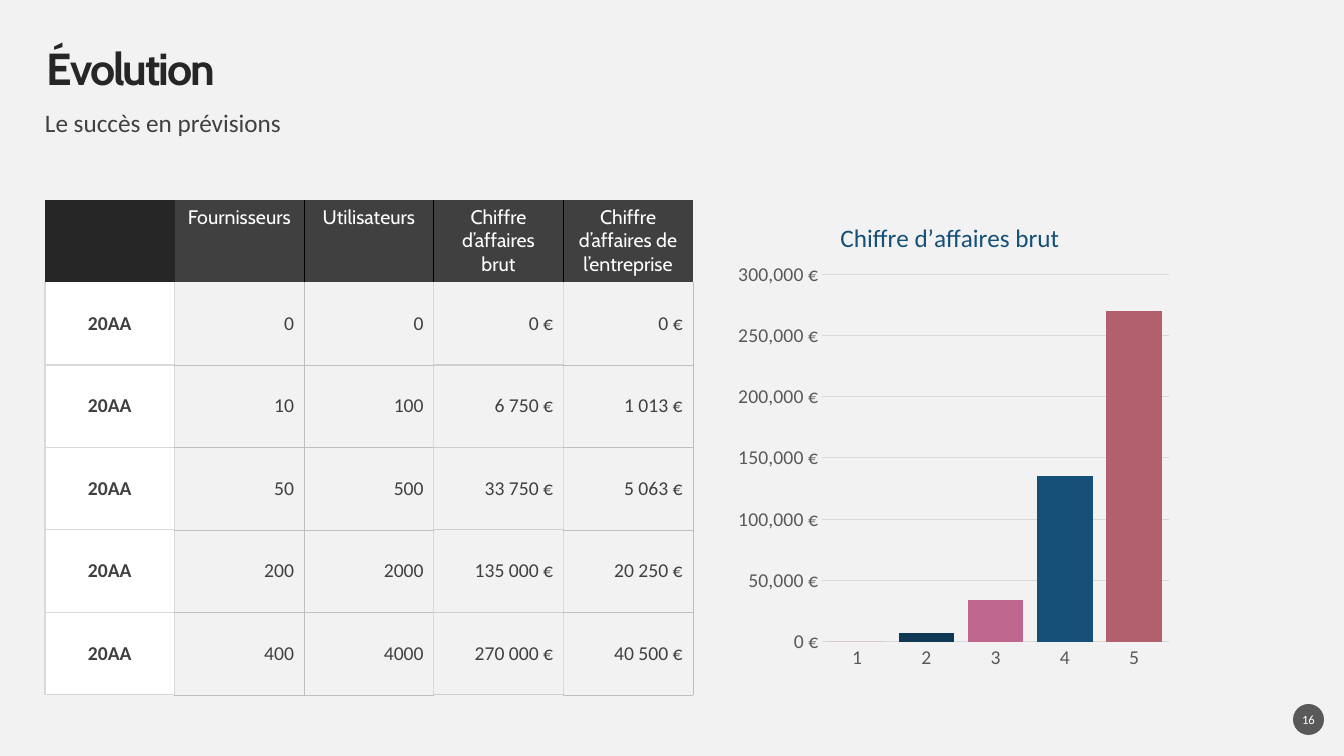
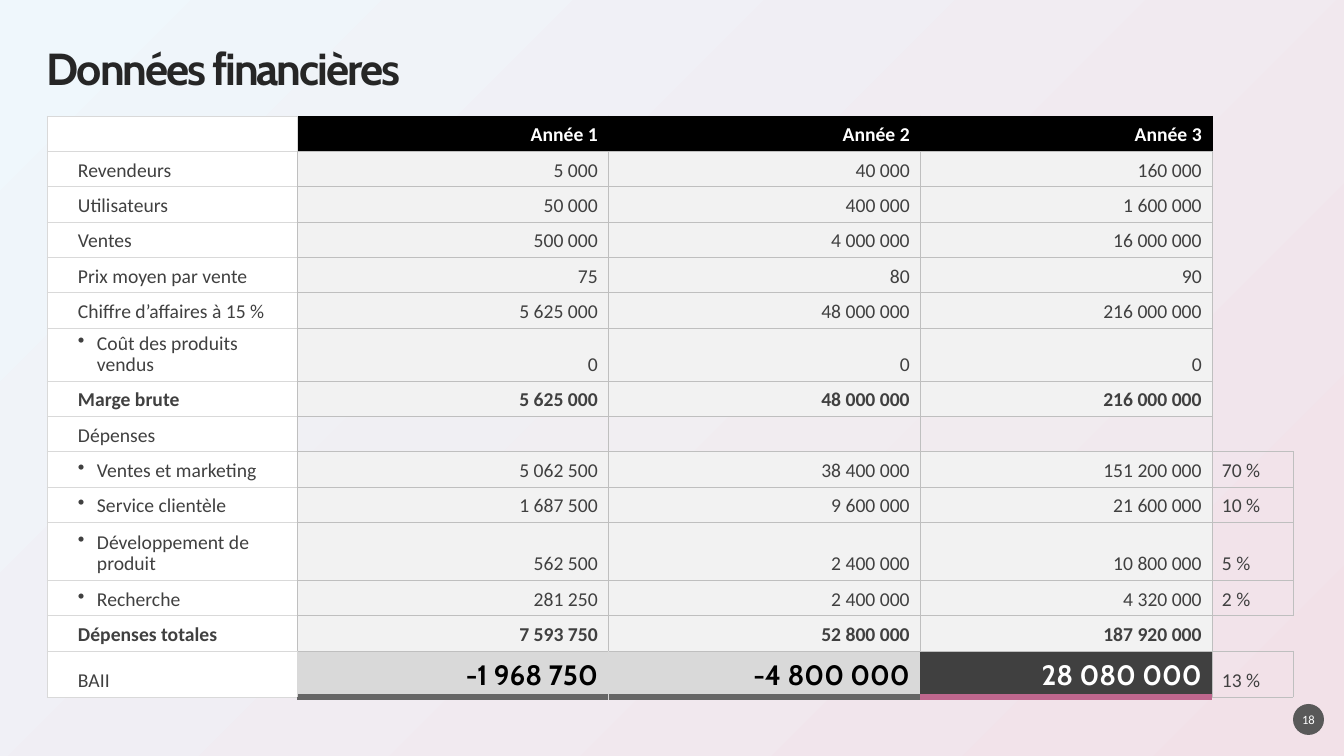
from pptx import Presentation
from pptx.chart.data import CategoryChartData as ChartData
from pptx.dml.color import RGBColor
from pptx.enum.chart import XL_CHART_TYPE as ChartType, XL_TICK_MARK as Tick
from pptx.enum.shapes import MSO_SHAPE as Shape
from pptx.enum.text import MSO_ANCHOR as Anchor, MSO_AUTO_SIZE as Fit, PP_ALIGN as Align
from pptx.oxml import parse_xml
from pptx.oxml.ns import nsdecls, qn
from pptx.util import Emu, Pt

PX = 914400 / 100.8
NBSP = chr(160)
HEAD, BODY = "Cabin", "Calibri"
NO_STYLE = "{2D5ABB26-0587-4C30-8999-92F81FD0307C}"

BLACK = RGBColor(0x00, 0x00, 0x00)
WHITE = RGBColor(0xFF, 0xFF, 0xFF)
INK = RGBColor(0x26, 0x26, 0x26)
DARK = RGBColor(0x40, 0x40, 0x40)
SLATE = RGBColor(0x59, 0x59, 0x59)
STEEL = RGBColor(0x66, 0x66, 0x66)
GREY = RGBColor(0xBF, 0xBF, 0xBF)
WARM = RGBColor(0xD0, 0xCE, 0xCE)
PALE = RGBColor(0xD9, 0xD9, 0xD9)
LIGHT = RGBColor(0xF2, 0xF2, 0xF2)
ICE = RGBColor(0xEF, 0xF7, 0xFC)
BLUSH = RGBColor(0xF2, 0xE1, 0xE8)
PINK = RGBColor(0xBF, 0x67, 0x8E)
NAVY = RGBColor(0x0F, 0x39, 0x55)
BLUE = RGBColor(0x15, 0x50, 0x78)
ROSE = RGBColor(0xB2, 0x60, 0x6E)

# Growth slide
GROWTH_HEAD = ["", "Fournisseurs", "Utilisateurs", "Chiffre d’affaires brut",
               "Chiffre d’affaires de l’entreprise"]
GROWTH = [
    ("20AA", 0, 0, 0, 0),
    ("20AA", 10, 100, 6750, 1013),
    ("20AA", 50, 500, 33750, 5063),
    ("20AA", 200, 2000, 135000, 20250),
    ("20AA", 400, 4000, 270000, 40500),
]
GROSS = [0, 7000, 34000, 135000, 270000]
BARS = [PINK, NAVY, PINK, BLUE, ROSE]

# Finance slide: label, kind of row, values by year, share
FINANCE = [
    ("Revendeurs", "", (5000, 40000, 160000), ""),
    ("Utilisateurs", "", (50000, 400000, 1600000), ""),
    ("Ventes", "", (500000, 4000000, 16000000), ""),
    ("Prix moyen par vente", "", (75, 80, 90), ""),
    ("Chiffre d’affaires à 15 %", "", (5625000, 48000000, 216000000), ""),
    ("Coût des produits vendus", "item", (0, 0, 0), ""),
    ("Marge brute", "sum", (5625000, 48000000, 216000000), ""),
    ("Dépenses", "group", ("", "", ""), ""),
    ("Ventes et marketing", "item", (5062500, 38400000, 151200000), "70 %"),
    ("Service clientèle", "item", (1687500, 9600000, 21600000), "10 %"),
    ("Développement de produit", "item", (562500, 2400000, 10800000), "5 %"),
    ("Recherche", "item", (281250, 2400000, 4320000), "2 %"),
    ("Dépenses totales", "sum", (7593750, 52800000, 187920000), ""),
    ("BAII", "result", (-1968750, -4800000, 28080000), "13 %"),
]
FINANCE_COLS = [250, 311, 312, 292, 81]
TALL = {6: 53, 11: 58, 14: 46}


def px(*sizes):
    return [Emu(round(size * PX)) for size in sizes]


def group(number):
    """Digits in groups of three; text passes unchanged."""
    return number if isinstance(number, str) else f"{number:,}".replace(",", NBSP)


def write(holder, text, size=14, font=BODY, color=DARK, bold=False, align=Align.LEFT,
          anchor=Anchor.TOP, inset=None, left=None, line=None, track=None, bullet=False):
    """Fill a text frame or a table cell with one formatted paragraph."""
    frame = getattr(holder, "text_frame", holder)
    holder.vertical_anchor = anchor
    if inset is not None:
        holder.margin_left = holder.margin_right = inset
        holder.margin_top = holder.margin_bottom = inset
    if left is not None:
        holder.margin_left = px(left)[0]
    para = frame.paragraphs[0]
    para.alignment = align
    if line:
        para.line_spacing = line
    if bullet:
        props = para._p.get_or_add_pPr()
        indent = px(19)[0]
        props.set("marL", str(indent))
        props.set("indent", str(-indent))
        props.append(parse_xml(f'<a:buChar {nsdecls("a")} char="•"/>'))
    if not text:
        para._p.get_or_add_endParaRPr().set("sz", str(size * 100))
        return
    run = para.add_run()
    run.text = text.replace(" %", NBSP + "%").replace(" €", NBSP + "€")
    run.font.size, run.font.name, run.font.bold = Pt(size), font, bold
    run.font.color.rgb = color
    if track:
        run._r.get_or_add_rPr().set("spc", str(track))


def paint(cell, color, alpha=None):
    if color is None:
        cell.fill.background()
        return
    cell.fill.solid()
    cell.fill.fore_color.rgb = color
    if alpha:
        tint = cell._tc.tcPr.find(qn("a:solidFill"))[0]
        tint.append(parse_xml(f'<a:alpha {nsdecls("a")} val="{alpha * 1000}"/>'))


def edge(cell, left, right, top, bottom):
    """Draw the given (colour, points) lines; None leaves a side open."""
    place = 0
    for side, line in zip("LRTB", (left, right, top, bottom)):
        if line:
            color, width = line
            cell._tc.get_or_add_tcPr().insert(place, parse_xml(
                f'<a:ln{side} {nsdecls("a")} w="{Pt(width)}"><a:solidFill>'
                f'<a:srgbClr val="{color}"/></a:solidFill></a:ln{side}>'))
            place += 1


def add_grid(slide, left, top, cols, rows):
    box = px(left, top, sum(cols), sum(rows))
    table = slide.shapes.add_table(len(rows), len(cols), *box).table
    props = table._tbl.tblPr
    props.find(qn("a:tableStyleId")).text = NO_STYLE
    table.first_row = table.horz_banding = False
    for col, width in zip(table.columns, px(*cols)):
        col.width = width
    for row, height in zip(table.rows, px(*rows)):
        row.height = height
    return table


def add_base(deck, title, number):
    slide = deck.slides.add_slide(deck.slide_layouts[5])
    head = slide.shapes.title
    head.left, head.top, head.width, head.height = px(47, 47, 1249, 47)
    head.text_frame.auto_size = Fit.NONE
    write(head.text_frame, title, size=32, font=HEAD, color=INK, bold=True,
          anchor=Anchor.MIDDLE, inset=0, line=0.9, track=-150)
    badge = slide.shapes.add_shape(Shape.OVAL, *px(1293, 704, 31, 31))
    badge.shadow.inherit = False
    badge.fill.solid()
    badge.fill.fore_color.rgb = SLATE
    badge.line.fill.background()
    write(badge.text_frame, str(number), size=9, color=WHITE, align=Align.CENTER,
          anchor=Anchor.MIDDLE, inset=0)
    return slide


def pin(part, place, **ratios):
    """Set a manual layout, in parts of the chart's size."""
    old = part.find(qn("c:layout"))
    if old is not None:
        part.remove(old)
    target = '<c:layoutTarget val="inner"/>' if "w" in ratios else ""
    modes = "".join(f'<c:{key}Mode val="edge"/>' for key in "xy")
    sizes = "".join(f'<c:{key} val="{val}"/>' for key, val in ratios.items())
    part.insert(place, parse_xml(f'<c:layout {nsdecls("c")}><c:manualLayout>{target}'
                                 f'{modes}{sizes}</c:manualLayout></c:layout>'))


def style(font, size, color):
    font.size, font.name, font.bold = Pt(size), BODY, False
    font.color.rgb = color


def add_bars(slide):
    data = ChartData()
    data.categories = [str(n + 1) for n in range(len(GROSS))]
    data.add_series("Chiffre d’affaires brut", GROSS)
    chart = slide.shapes.add_chart(ChartType.COLUMN_CLUSTERED, *px(728, 191, 450, 490),
                                   data).chart
    style(chart.font, 14, SLATE)
    chart.has_legend = False
    chart.has_title = True
    title = chart.chart_title.text_frame
    title.text = "Chiffre d’affaires brut"
    style(title.paragraphs[0].runs[0].font, 18, BLUE)
    space = chart._chartSpace
    pin(space.xpath("c:chart/c:title")[0], 1, x=0.24, y=0.05)
    pin(space.xpath("c:chart/c:plotArea")[0], 0, x=0.21, y=0.17, w=0.77, h=0.75)

    plot = chart.plots[0]
    plot.gap_width, plot.vary_by_categories = 25, False
    for at, color in enumerate(BARS):
        fill = plot.series[0].points[at].format.fill
        fill.solid()
        fill.fore_color.rgb = color

    cats, vals = chart.category_axis, chart.value_axis
    for axis in (cats, vals):
        axis.major_tick_mark = axis.minor_tick_mark = Tick.NONE
        style(axis.tick_labels.font, 14, SLATE)
    vals.minimum_scale, vals.maximum_scale, vals.major_unit = 0, 300000, 50000
    vals.tick_labels.number_format = '#,##0\\ "€"'
    vals.tick_labels.number_format_is_linked = False
    vals.format.line.fill.background()
    for line in (cats.format.line, vals.major_gridlines.format.line):
        line.color.rgb, line.width = PALE, Pt(0.75)


def build_growth(deck):
    slide = add_base(deck, "Évolution", 16)
    slide.background.fill.solid()
    slide.background.fill.fore_color.rgb = LIGHT
    intro = slide.shapes.add_textbox(*px(45, 111, 1118, 28)).text_frame
    intro.word_wrap = True
    write(intro, "Le succès en prévisions", size=18, inset=0, line=0.9)

    count = len(GROWTH_HEAD)
    rows = len(GROWTH) + 1
    table = add_grid(slide, 45, 200, [648 / count] * count, [495 / rows] * rows)
    black, pale, thin, warm = (BLACK, 1), (PALE, 1), (GREY, 0.25), (WARM, 1)
    bars = [None, None, black, black, black, None]
    for at, text in enumerate(GROWTH_HEAD):
        cell = table.cell(0, at)
        write(cell, text, font=HEAD, color=WHITE, align=Align.CENTER)
        paint(cell, DARK if at else INK)
        edge(cell, bars[at], bars[at + 1], None, None)

    bars = [pale, pale, thin, pale, pale, thin]
    rules = [pale, thin, thin, warm, thin]
    fills = [WHITE, None, None, LIGHT, None]
    for row, values in enumerate(GROWTH, 1):
        for at, value in enumerate(values):
            cell = table.cell(row, at)
            text = group(value) + " €" if at > 2 else str(value)
            write(cell, text, bold=at == 0, anchor=Anchor.MIDDLE,
                  align=Align.RIGHT if at else Align.CENTER)
            paint(cell, fills[at])
            edge(cell, bars[at], bars[at + 1], rules[at] if row > 1 else None, rules[at])
    add_bars(slide)


def shade(slide):
    """Radial background that starts in the top left corner."""
    slide.background.fill.solid()
    props = slide._element.cSld.find(qn("p:bg")).find(qn("p:bgPr"))
    stops = "".join(f'<a:gs pos="{pos}"><a:srgbClr val="{color}"/></a:gs>'
                    for pos, color in ((0, ICE), (100000, BLUSH)))
    props.replace(props[0], parse_xml(
        f'<a:gradFill {nsdecls("a")} rotWithShape="1"><a:gsLst>{stops}</a:gsLst>'
        '<a:path path="circle"><a:fillToRect r="100000" b="100000"/></a:path></a:gradFill>'))


def build_finance(deck):
    slide = add_base(deck, "Données financières", 18)
    shade(slide)
    count = len(FINANCE) + 1
    share = (581 - sum(TALL.values())) / (count - len(TALL))
    table = add_grid(slide, 47, 116, FINANCE_COLS,
                     [TALL.get(row, share) for row in range(count)])
    black, pale, thin = (BLACK, 0.25), (PALE, 0.25), (GREY, 0.25)
    low = {"anchor": Anchor.BOTTOM, "line": 0.9}
    right = {"align": Align.RIGHT, **low}

    bars = [pale, pale, black, black, black, None]
    for at in range(5):
        cell = table.cell(0, at)
        year = 0 < at < 4
        write(cell, f"Année{NBSP}{at}" if year else "", color=WHITE, bold=True, **right)
        paint(cell, BLACK if year else None if at else WHITE)
        top, bottom = (black, thin) if year else (None, None) if at else (pale, pale)
        edge(cell, bars[at], bars[at + 1], top, bottom)

    for row, (label, kind, values, part) in enumerate(FINANCE, 1):
        last = kind == "result"
        side = thin if part else None
        bars = [pale, pale, None, None, thin, side] if last else [pale] + [thin] * 4 + [side]
        name, *years, rate = table.rows[row].cells
        write(name, label, bold=kind == "sum", left=31, bullet=kind == "item", **low)
        paint(name, WHITE)
        edge(name, bars[0], bars[1], pale, pale)
        for at, (cell, value) in enumerate(zip(years, values), 1):
            final = last and at == 3
            look = {"bold": kind == "sum"}
            if last:
                look = {"size": 20, "font": HEAD, "bold": True,
                        "color": WHITE if final else BLACK}
            write(cell, group(value), **look, **right)
            paint(cell, DARK if final else PALE if last else LIGHT,
                  alpha=36 if kind == "group" else None)
            base = (PINK if final else STEEL, 4.5) if last else thin
            edge(cell, bars[at], bars[at + 1], thin, base)
        write(rate, part, **low)
        paint(rate, None)
        edge(rate, bars[4], bars[5], side, side)


def main():
    deck = Presentation()
    deck.slide_width, deck.slide_height = px(1344, 756)
    build_growth(deck)
    build_finance(deck)
    deck.save("out.pptx")


if __name__ == "__main__":
    main()
